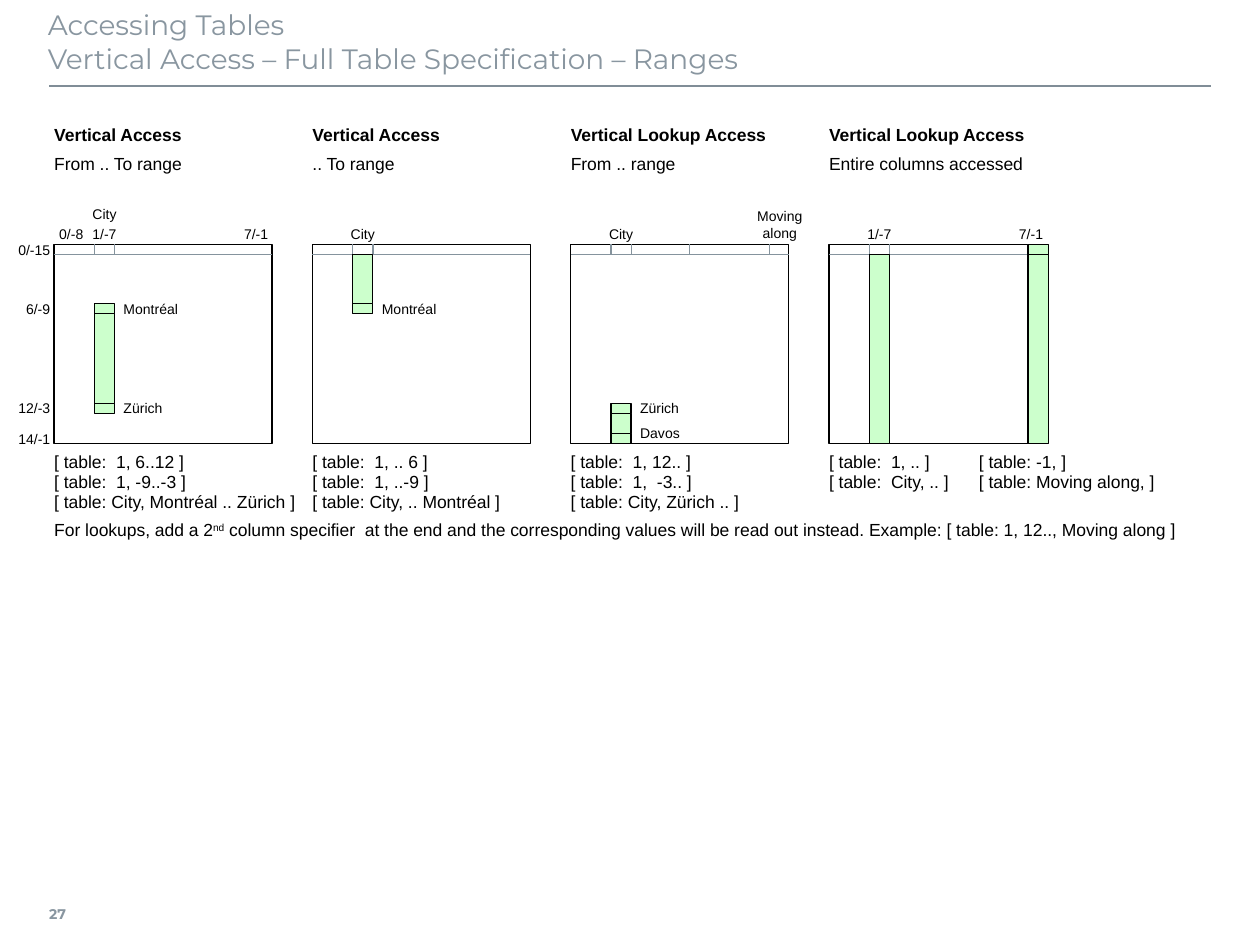
from dataclasses import dataclass

from lxml.etree import SubElement
from pptx import Presentation
from pptx.dml.color import RGBColor
from pptx.enum.shapes import MSO_CONNECTOR as Conn, MSO_SHAPE as Shape
from pptx.enum.text import MSO_ANCHOR as Anchor, MSO_AUTO_SIZE as Fit, PP_ALIGN as Align
from pptx.oxml.ns import qn
from pptx.util import Inches, Pt


@dataclass(frozen=True)
class Theme:
    """Colours, fonts and type sizes."""
    ink: str = "000000"
    title: str = "8996A0"
    rule: str = "808D97"
    grid: str = "85939D"
    cell: str = "CCFFCC"
    body_font: str = "Arial"
    title_font: str = "Montserrat"
    title_size: float = 16
    body_size: float = 10
    label_size: float = 8


class Deck:
    """Draws styled elements on the current slide."""

    def __init__(self, prs, theme):
        self.theme = theme
        self.s = prs.slides.add_slide(prs.slide_layouts[5])

    def style(self, p, size, color, name, bold=False):
        """Format a whole paragraph."""
        f = p.font
        f.size, f.name, f.bold = Pt(size), name, bold
        f.color.rgb = RGBColor.from_string(color)

    def frame(self, tf, insets, anchor, wrap):
        """Set the margins, anchor and wrapping of a text frame."""
        tf.margin_left, tf.margin_top, tf.margin_right, tf.margin_bottom = map(Inches, insets)
        tf.vertical_anchor, tf.word_wrap, tf.auto_size = anchor, wrap, Fit.NONE

    def title(self, text):
        """Fill and place the title placeholder."""
        sp = self.s.shapes.title
        sp.left, sp.top, sp.width, sp.height = map(Inches, (0.38, 0.01, 9.21, 0.63))
        self.frame(sp.text_frame, (0, 0.05, 0.1, 0.05), Anchor.TOP, True)
        p = sp.text_frame.paragraphs[0]
        p.text, p.alignment = text, Align.LEFT
        self.style(p, self.theme.title_size, self.theme.title, self.theme.title_font)

    def text(self, box, lines, size=None, color=None, name=None, bold=False,
             align=Align.LEFT, anchor=Anchor.TOP, insets=(0, 0, 0, 0), spacing=1.0):
        """Add a text box with one paragraph per line and return its frame."""
        t = self.theme
        tf = self.s.shapes.add_textbox(*map(Inches, box)).text_frame
        self.frame(tf, insets, anchor, False)
        for i, line in enumerate(lines):
            p = tf.add_paragraph() if i else tf.paragraphs[0]
            p.text, p.alignment, p.line_spacing = line, align, spacing
            self.style(p, size or t.body_size, color or t.ink, name or t.body_font, bold)
        return tf

    def label(self, x, middle, width, lines, align=Align.CENTER, inset=0.04):
        """Add a small label centred on a height."""
        self.text((x, middle - 0.08, width, 0.16), lines, self.theme.label_size, align=align,
                  anchor=Anchor.MIDDLE, insets=(inset,) * 4)

    def line(self, x1, y1, x2, y2, color, width=0.75):
        """Add a straight line."""
        c = self.s.shapes.add_connector(Conn.STRAIGHT, *map(Inches, (x1, y1, x2, y2)))
        c.line.color.rgb, c.line.width = RGBColor.from_string(color), Pt(width)
        SubElement(c._element.spPr, qn("a:effectLst"))

    def rect(self, x, y, w, h, fill=None):
        """Add an outlined rectangle, filled if a colour is given."""
        sp = self.s.shapes.add_shape(Shape.RECTANGLE, *map(Inches, (x, y, w, h)))
        sp.shadow.inherit = False
        if fill:
            sp.fill.solid()
            sp.fill.fore_color.rgb = RGBColor.from_string(fill)
        else:
            sp.fill.background()
        sp.line.color.rgb, sp.line.width = RGBColor.from_string(self.theme.ink), Pt(0.75)


@dataclass(frozen=True)
class Panel:
    """One table diagram; horizontal places are offsets from its left edge."""
    heading: str
    scope: str
    dividers: tuple
    cells: tuple
    headers: tuple
    notes: tuple
    code: tuple


LEFT, PITCH, TOP, HEAD, BOTTOM = 0.43, 2.05, 1.94, 2.02, 3.52
TABLE_W, COL_W = 1.73, 0.16
CITY, LAST = 0.32, 1.58
ROW_6, ROW_12, ROW_14 = 2.41, 3.2, 3.44
ROW_H = 0.08
HEADER_Y = 1.86
CITY_COL = (CITY, CITY + COL_W)
MONTREAL, ZURICH, DAVOS = ("Montréal", 2.45), ("Zürich", 3.24), ("Davos", 3.44)
CITY_HEADER = (CITY, HEADER_Y, ("City",), Align.CENTER)
FIRST_HEADER = (CITY, HEADER_Y, ("1/-7",), Align.CENTER)
LAST_HEADER = (LAST, HEADER_Y, ("7/-1",), Align.RIGHT)

PANELS = (
    Panel("Vertical Access", "From .. To range", CITY_COL,
          ((CITY, ROW_6, ROW_H), (CITY, ROW_12, ROW_H), (CITY, 2.49, 0.71)),
          ((0, HEADER_Y, ("0/-8",), Align.LEFT), FIRST_HEADER, LAST_HEADER,
           (CITY, 1.7, ("City",), Align.CENTER)),
          (MONTREAL, ZURICH),
          ((0, ("[ table:  1, 6..12 ]", "[ table:  1, -9..-3 ]",
                "[ table: City, Montréal .. Zürich ]")),)),
    Panel("Vertical Access", ".. To range", CITY_COL,
          ((CITY, ROW_6, ROW_H), (CITY, HEAD, ROW_6 - HEAD)),
          (CITY_HEADER,), (MONTREAL,),
          ((0, ("[ table:  1, .. 6 ]", "[ table:  1, ..-9 ]",
                "[ table: City, .. Montréal ]")),)),
    Panel("Vertical Lookup Access", "From .. range", CITY_COL + (0.94, LAST),
          ((CITY, ROW_12, ROW_H), (CITY, 3.28, 0.16), (CITY, ROW_14, ROW_H)),
          (CITY_HEADER, (LAST, 1.78, ("Moving", "along"), Align.CENTER)),
          (ZURICH, DAVOS),
          ((0, ("[ table:  1, 12.. ]", "[ table:  1,  -3.. ]",
                "[ table: City, Zürich .. ]")),)),
    Panel("Vertical Lookup Access", "Entire columns accessed", CITY_COL + (LAST,),
          ((CITY, HEAD, BOTTOM - HEAD), (LAST, HEAD, BOTTOM - HEAD), (LAST, TOP, ROW_H)),
          (FIRST_HEADER, LAST_HEADER), (),
          ((0, ("[ table:  1, .. ]", "[ table:  City, .. ]")),
           (1.19, ("[ table: -1, ]", "[ table: Moving along, ]")))),
)
ROW_LABELS = (("0/-15", 1.98), ("6/-9", 2.45), ("12/-3", 3.24), ("14/-1", 3.48))


def draw_panel(deck, x, panel):
    """Draw one table diagram with its heading, labels and access code."""
    t = deck.theme
    deck.text((x, 0.99, 1.18, 0.16), [panel.heading], bold=True, anchor=Anchor.MIDDLE)
    deck.text((x, 1.23, 1.18, 0.39), [panel.scope], spacing=0.9)
    deck.rect(x, TOP, TABLE_W, BOTTOM - TOP)
    deck.line(x, HEAD, x + TABLE_W, HEAD, t.grid)
    for dx in panel.dividers:
        deck.line(x + dx, TOP, x + dx, HEAD, t.grid)
    for dx, y, h in panel.cells:
        deck.rect(x + dx, y, COL_W, h, t.cell)
    for dx, y, lines, align in panel.headers:
        deck.label(x + dx, y, COL_W, lines, align)
    for name, y in panel.notes:
        deck.label(x + 0.55, y, 0.39, [name], Align.LEFT, inset=0)
    for dx, lines in panel.code:
        deck.text((x + dx, 3.59, TABLE_W, 0.55), lines, spacing=0.95)


def main():
    """Build the slide and save it."""
    prs = Presentation()
    prs.slide_width, prs.slide_height = Inches(10), Inches(7.5)
    t = Theme()
    deck = Deck(prs, t)
    deck.title("Accessing Tables\vVertical Access – Full Table Specification – Ranges")
    deck.line(0.39, 0.68, 9.61, 0.68, t.rule, 1)
    deck.text((0.39, 7.06, 0.35, 0.39), ["27"], t.label_size, t.title, t.title_font, True,
              anchor=Anchor.MIDDLE, insets=(0, 0.05, 0.08, 0.05))
    for i, panel in enumerate(PANELS):
        draw_panel(deck, LEFT + i * PITCH, panel)
    for name, y in ROW_LABELS:
        deck.label(0.28, y, COL_W, [name], Align.RIGHT)
    tf = deck.text((LEFT, 4.14, 7.01, 0.16), ["For lookups, add a 2"], spacing=0.9)
    p = tf.paragraphs[0]
    r = p.add_run()
    r.text = "nd"
    r.font._element.set("baseline", "30000")
    p.add_run().text = (" column specifier  at the end and the corresponding values will be "
                        "read out instead. Example: [ table: 1, 12.., Moving along ]")
    prs.save("out.pptx")


if __name__ == "__main__":
    main()
